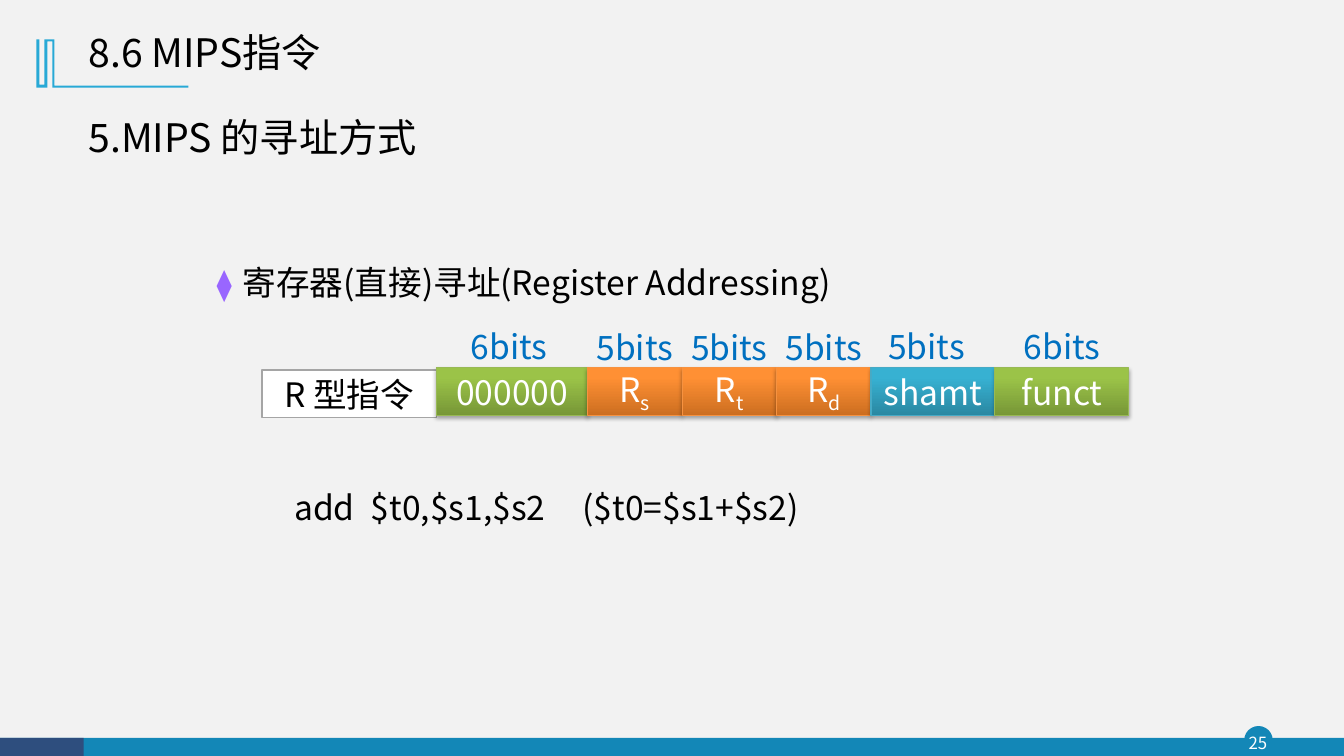
from lxml.etree import SubElement
from pptx import Presentation
from pptx.dml.color import RGBColor
from pptx.enum.shapes import MSO_SHAPE as Preset
from pptx.enum.text import MSO_ANCHOR as Anchor, MSO_AUTO_SIZE as AutoSize, PP_ALIGN as Align
from pptx.oxml.ns import qn
from pptx.util import Inches, Pt

CELL = Inches(0.1)
COLUMNS, ROWS = 133.33, 75
SANS = "Noto Sans CJK SC"
SANS_ALTERNATE = "Noto Sans CJK JP"

PAPER = RGBColor(0xF2, 0xF2, 0xF2)
WHITE = RGBColor(0xFF, 0xFF, 0xFF)
BLACK = RGBColor(0x00, 0x00, 0x00)
GRAY = RGBColor(0xA5, 0xA5, 0xA5)
TEAL = RGBColor(0x13, 0x87, 0xB7)
NAVY = RGBColor(0x2E, 0x4E, 0x7E)
SKY = RGBColor(0x28, 0xA9, 0xD6)
BLUE = RGBColor(0x00, 0x70, 0xC0)
VIOLET = RGBColor(0x99, 0x66, 0xFF)
GREEN = (RGBColor(0x77, 0x97, 0x37), RGBColor(0x9B, 0xC3, 0x48), RGBColor(0x98, 0xB9, 0x55))
ORANGE = (RGBColor(0xCC, 0x6E, 0x20), RGBColor(0xFF, 0x90, 0x34), RGBColor(0xF6, 0x92, 0x40))
CYAN = (RGBColor(0x2A, 0x88, 0xA2), RGBColor(0x37, 0xB1, 0xD2), RGBColor(0x46, 0xAA, 0xC5))

CORNER_MARK = [
    (5.4, 3.9), (5.4, 8.5), (18.7, 8.5), (18.7, 8.7), (5.2, 8.7), (5.2, 4.1), (4.7, 4.1),
    (4.7, 8.7), (3.6, 8.7), (3.6, 3.9), (3.9, 3.9), (3.9, 8.4), (4.4, 8.4), (4.4, 3.9),
]
FIELDS = [
    ("000000", "", "6bits", 15, GREEN, -0.3, 31.8),
    ("R", "s", "5bits", 9.37, ORANGE, 0, 31.9),
    ("R", "t", "5bits", 9.37, ORANGE, 0, 31.9),
    ("R", "d", "5bits", 9.37, ORANGE, 0, 31.9),
    ("shamt", "", "5bits", 12.3, CYAN, -0.65, 31.8),
    ("funct", "", "6bits", 13.3, GREEN, 0, 31.8),
]


def cells(*counts):
    return [round(count * CELL) for count in counts]


class SlideBuilder:
    def __init__(self, slide):
        self.slide = slide
        self.style = {"name": SANS, "size": Pt(24)}
        fill = slide.background.fill
        fill.solid()
        fill.fore_color.rgb = PAPER

    def add_words(self, paragraph, text, color, subscript=False, **changes):
        run = paragraph.add_run()
        run.text = text
        values = {**self.style, **changes}
        for attribute, value in values.items():
            setattr(run.font, attribute, value)
        run.font.color.rgb = color
        properties = run._r.get_or_add_rPr()
        SubElement(properties, qn("a:ea"), typeface=values["name"])
        if subscript:
            properties.set("baseline", "-25000")

    def shape(self, preset, box, fill, line=None, width=1):
        shape = self.slide.shapes.add_shape(preset, *cells(*box))
        self.paint(shape, fill)
        if line is not None:
            shape.line.color.rgb = line
            shape.line.width = Pt(width)
        return shape

    def paint(self, shape, color):
        shape.shadow.inherit = False
        shape.fill.solid()
        shape.fill.fore_color.rgb = color
        shape.line.fill.background()

    def outline(self, points, color):
        start, *others = [cells(*point) for point in points]
        builder = self.slide.shapes.build_freeform(*start)
        builder.add_line_segments(others, close=True)
        self.paint(builder.convert_to_shape(), color)

    def caption(self, shape, text, color, subscript=""):
        shape.text_frame.vertical_anchor = Anchor.MIDDLE
        paragraph = shape.text_frame.paragraphs[0]
        paragraph.alignment = Align.CENTER
        self.add_words(paragraph, text, color)
        if subscript:
            self.add_words(paragraph, subscript, color, subscript=True)

    def field(self, box, text, subscript, palette):
        dark, light, line = palette
        shape = self.shape(Preset.RECTANGLE, box, light, line, 0.75)
        shape.fill.gradient()
        shape.fill.gradient_angle = 90
        for stop, color, position in zip(shape.fill.gradient_stops, (dark, light), (0, 0.8)):
            stop.color.rgb = color
            stop.position = position
        effects = shape._element.spPr.find(qn("a:effectLst"))
        shadow = SubElement(effects, qn("a:outerShdw"), blurRad=str(Pt(3.1)), dist=str(Pt(1.8)),
                            dir="5400000", rotWithShape="0")
        black = SubElement(shadow, qn("a:srgbClr"), val=str(BLACK))
        SubElement(black, qn("a:alpha"), val="35000")
        self.caption(shape, text, WHITE, subscript)

    def text(self, box, text, color=BLACK, frame_format=None, align=Align.LEFT,
             tabs=(), bullet=None, **font):
        frame = self.slide.shapes.add_textbox(*cells(*box)).text_frame
        settings = {"word_wrap": True, "auto_size": AutoSize.SHAPE_TO_FIT_TEXT}
        for attribute, value in {**settings, **(frame_format or {})}.items():
            setattr(frame, attribute, value)
        paragraph = frame.paragraphs[0]
        paragraph.alignment = align
        properties = paragraph._p.get_or_add_pPr()
        if bullet:
            indent = cells(2.6)[0]
            properties.set("marL", str(indent))
            properties.set("indent", str(-indent))
            tint = SubElement(properties, qn("a:buClr"))
            SubElement(tint, qn("a:srgbClr"), val=str(VIOLET))
            SubElement(properties, qn("a:buSzPct"), val="92000")
            SubElement(properties, qn("a:buFont"), typeface=SANS)
            SubElement(properties, qn("a:buChar"), char=bullet)
        if tabs:
            stops = SubElement(properties, qn("a:tabLst"))
            for position in cells(*tabs):
                SubElement(stops, qn("a:tab"), pos=str(position), algn="l")
        self.add_words(paragraph, text, color, **font)


def draw_frame(builder):
    builder.shape(Preset.OVAL, (123.5, 72.1, 2.7, 2.7), TEAL, TEAL)
    builder.shape(Preset.RECTANGLE, (0, 73.2, COLUMNS, 1.8), TEAL)
    builder.shape(Preset.RECTANGLE, (0, 73.2, 8.3, 1.8), NAVY)
    tight = dict.fromkeys(("margin_left", "margin_top", "margin_right", "margin_bottom"), 0)
    tight.update(vertical_anchor=Anchor.MIDDLE, auto_size=AutoSize.NONE)
    builder.text((123.2, 72.1, 3.2, 3.1), "25", WHITE, tight, Align.CENTER, size=Pt(12))
    builder.outline(CORNER_MARK, SKY)


def draw_instruction(builder):
    label = builder.shape(Preset.RECTANGLE, (26, 36.7, 17.3, 4.7), WHITE, GRAY)
    builder.caption(label, "R 型指令", BLACK)
    left, label_width = 43.3, 11.5
    for text, subscript, bits, width, palette, shift, top in FIELDS:
        builder.field((left, 36.5, width, 4.7), text, subscript, palette)
        label_left = left + (width - label_width) / 2 + shift
        builder.text((label_left, top, label_width, 5), bits, BLUE, align=Align.CENTER)
        left += width


def main():
    presentation = Presentation()
    presentation.slide_width, presentation.slide_height = cells(COLUMNS, ROWS)
    builder = SlideBuilder(presentation.slides.add_slide(presentation.slide_layouts[6]))
    draw_frame(builder)
    builder.text((7.8, 2.3, 26, 5.7), "8.6 MIPS指令", frame_format={"word_wrap": False}, size=Pt(28))
    builder.text((7.8, 10.8, 45.6, 5.7), "5.MIPS 的寻址方式", name=SANS_ALTERNATE, size=Pt(28))
    builder.text((20.5, 25.5, 93.8, 5), "寄存器(直接)寻址(Register Addressing)", bullet="⧫")
    draw_instruction(builder)
    builder.text((28.2, 47.8, 67.1, 5), "add\t$t0,$s1,$s2\t($t0=$s1+$s2)", tabs=(7.6, 28.6))
    presentation.save("out.pptx")


if __name__ == "__main__":
    main()
